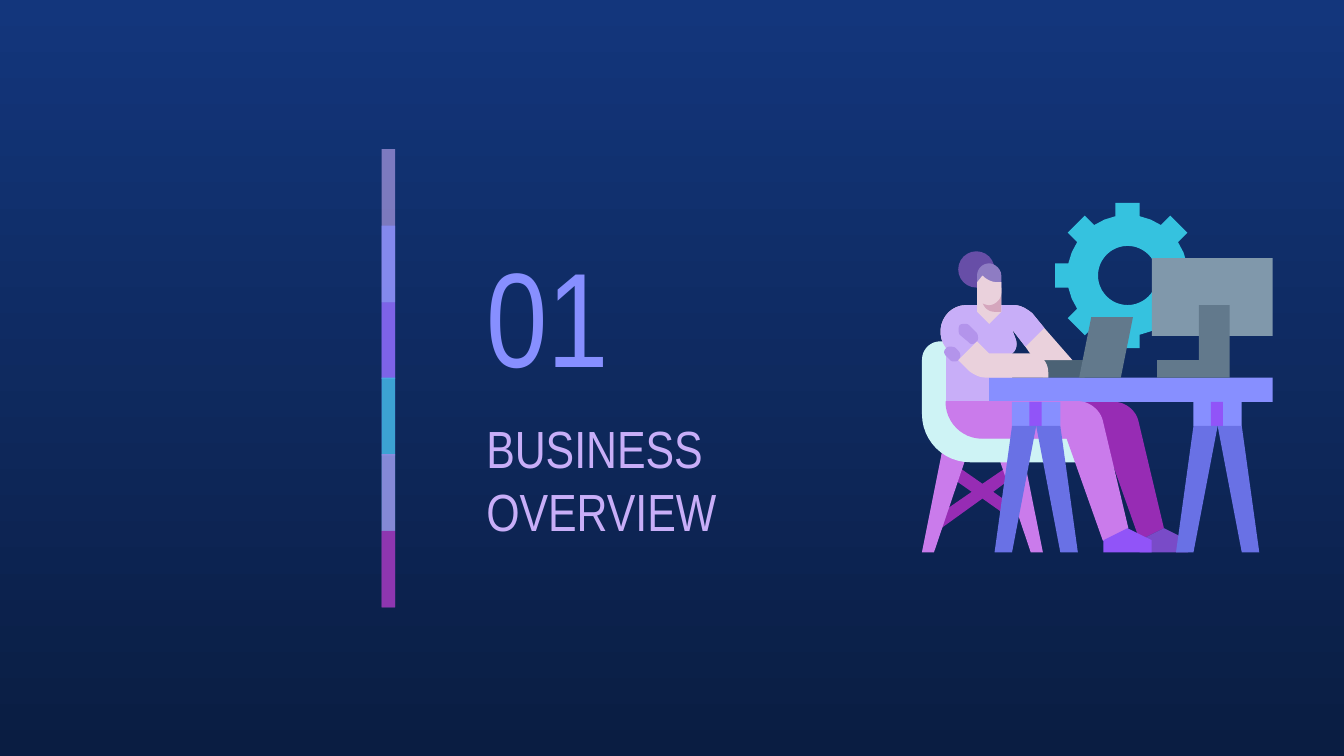
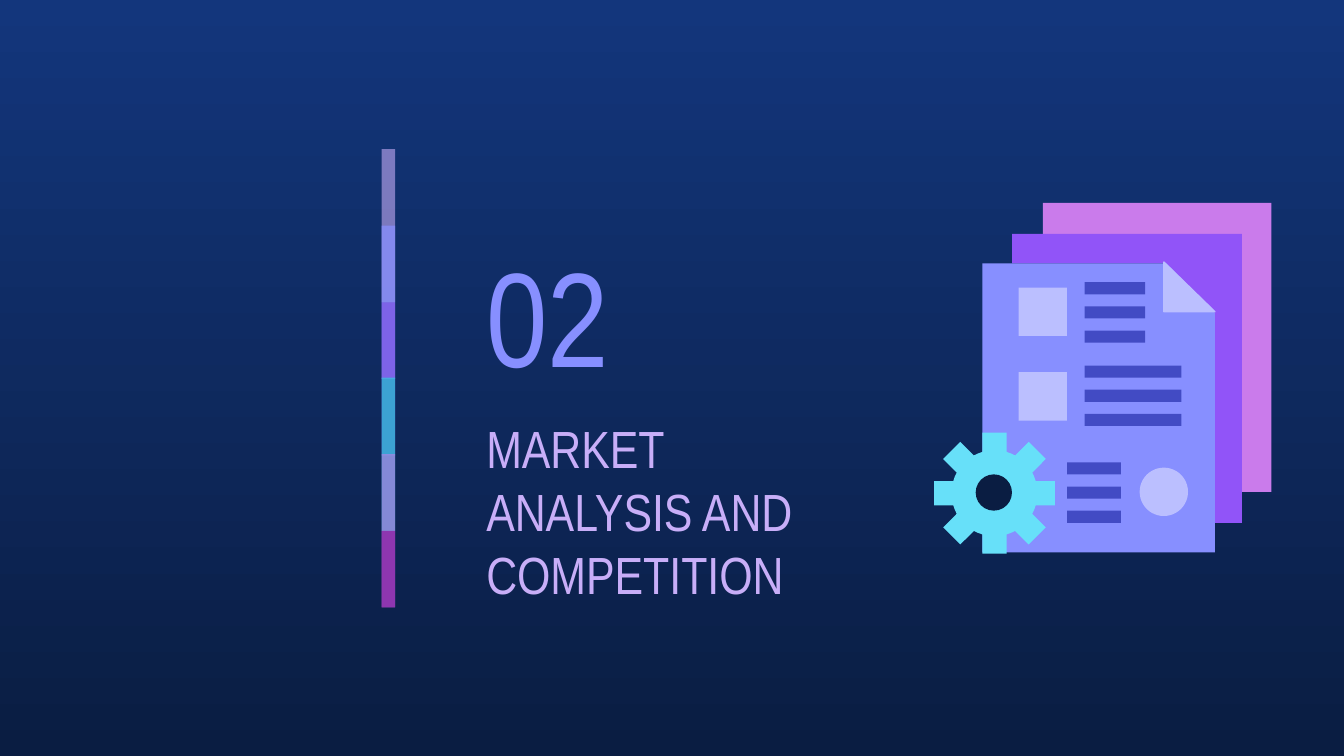
from dataclasses import dataclass
from math import asin, atan2, cos, hypot, pi, sin

from lxml import etree
from pptx import Presentation
from pptx.dml.color import RGBColor
from pptx.enum.shapes import MSO_SHAPE
from pptx.enum.text import MSO_ANCHOR
from pptx.oxml.ns import qn
from pptx.slide import Slide
from pptx.util import Pt

RECTANGLE, OVAL = MSO_SHAPE.RECTANGLE, MSO_SHAPE.OVAL
TOP, MIDDLE = MSO_ANCHOR.TOP, MSO_ANCHOR.MIDDLE

SCALE = 9144
FONT = "Arial Narrow"
SKY, NIGHT = "13367C", "0A1D42"
BLUE, LILAC, VIOLET = "878FFF", "C8AEF8", "9154F8"
ORCHID, PLUM, TEAL = "CA7BEB", "972CB4", "35C2DF"
CYAN, PALE, INDIGO = "67E0F9", "BBBFFF", "424BC4"
SKIN, SKIN_SHADE, MINT = "EAD1DC", "D5A6BD", "CEF3F5"
CUFF, BUN, HAIR, FAR_SHOE = "B394EB", "674EA7", "8E7CC3", "794BC8"
STEEL, STEEL_LIGHT, STEEL_DARK = "62798C", "8098AB", "4B6275"
TRESTLE = "6971E5"
STRIPES = [(LILAC, 59), (BLUE, 74), (VIOLET, 53), (TEAL, 76), (ORCHID, 56), (PLUM, 74)]


def px(length):
    """Turn px into EMU."""
    return round(length * SCALE)


def color(code):
    """Turn a hex string into a colour."""
    return RGBColor.from_string(code)


def paint(shape, code, outlined=False, opacity=100):
    """Fill a shape, with an optional thin line of the same colour."""
    shape.shadow.inherit = False
    shape.fill.solid()
    shape.fill.fore_color.rgb = color(code)
    if opacity < 100:
        tint = shape._element.spPr.find(".//" + qn("a:srgbClr"))
        etree.SubElement(tint, qn("a:alpha")).set("val", str(opacity * 1000))
    if outlined:
        shape.line.color.rgb = color(code)
        shape.line.width = Pt(0.75)
    else:
        shape.line.fill.background()


def flatten(outline, steps=12):
    """Turn points and Bézier curves (six numbers each) into plain points."""
    points = []
    for part in outline:
        if len(part) == 2:
            points.append(part)
            continue
        nodes = [points[-1], part[:2], part[2:4], part[4:]]
        for step in range(1, steps + 1):
            t = step / steps
            weights = ((1 - t) ** 3, 3 * t * (1 - t) ** 2, 3 * t * t * (1 - t), t ** 3)
            points.append(tuple(sum(w * node[axis] for w, node in zip(weights, nodes))
                                for axis in (0, 1)))
    return points


@dataclass
class Box:
    """A region of a page whose parts are placed from its top left corner."""
    page: Slide
    left: int
    top: int

    def preset(self, kind, code, x, y, width, height, opacity=100):
        """Add a preset shape."""
        shape = self.page.shapes.add_shape(
            kind, px(self.left + x), px(self.top + y), px(width), px(height))
        paint(shape, code, opacity=opacity)

    def rect(self, code, *place, opacity=100):
        """Add a rectangle."""
        self.preset(RECTANGLE, code, *place, opacity=opacity)

    def oval(self, code, *place):
        """Add an oval."""
        self.preset(OVAL, code, *place)

    def free(self, code, *outlines, outlined=False, shift=0):
        """Add one closed shape from one or more outlines."""
        builder = None
        for outline in outlines:
            points = [(px(self.left + shift + x), px(self.top + y))
                      for x, y in flatten(outline)]
            if builder is None:
                builder = self.page.shapes.build_freeform(*points[0])
            else:
                builder.move_to(*points[0])
            builder.add_line_segments(points[1:], close=True)
        paint(builder.convert_to_shape(), code, outlined)

    def gear(self, code, x, y, size, ring, hole=0, tooth=9):
        """Add a gear with eight teeth and an optional round hole."""
        reach = size / 2

        def polar(radius, angle):
            """Give a point around the hub."""
            return x + reach + radius * cos(angle), y + reach + radius * sin(angle)

        tip, foot, edge = hypot(reach, tooth), asin(tooth / ring), atan2(tooth, reach)
        profile = [(ring, -foot), (tip, -edge), (tip, edge), (ring, foot), (ring, pi / 8)]
        outlines = [[polar(radius, turn * pi / 4 + angle)
                     for turn in range(8) for radius, angle in profile]]
        if hole:
            outlines.append([polar(hole, step * pi / 24) for step in range(48)])
        self.free(code, *outlines)

    def text(self, words, size, code, width, height, anchor):
        """Add a wrapped line of text that fills the box."""
        shape = self.page.shapes.add_textbox(
            px(self.left), px(self.top), px(width), px(height))
        frame = shape.text_frame
        frame.word_wrap = True
        frame.vertical_anchor = anchor
        frame.margin_left = frame.margin_right = px(10)
        frame.margin_top = frame.margin_bottom = px(10)
        span = frame.paragraphs[0].add_run()
        span.text = words
        span.font.name = FONT
        span.font.size = Pt(size)
        span.font.color.rgb = color(code)


def draw_stripe(box):
    """Draw the translucent bars, each reaching under the next."""
    last = len(STRIPES) - 1
    for index, (code, opacity) in enumerate(STRIPES):
        height = 57 if index == last else 114
        box.rect(code, 0, round(284 * index / last), 10, height, opacity=opacity)


def draw_chair(box):
    """Draw the chair."""
    box.free(PLUM, [(25, 195), (20, 203), (37, 215), (8, 235), (13, 243), (45, 220),
                    (62, 232), (67, 225), (53, 215), (69, 203), (64, 196), (45, 209)])
    box.free(ORCHID, [(54, 180), (81, 260), (90, 260), (74, 180)])
    box.free(ORCHID, [(16, 180), (0, 260), (9, 260), (36, 180)])
    box.free(MINT, [(14, 103), (6, 103, 0, 109, 0, 117), (0, 157),
                    (0, 177, 16, 193, 36, 193), (121, 193), (121, 171), (45, 171),
                    (33, 171, 23, 161, 23, 148), (23, 103)])


def draw_leg(box, code, shoe_code, shift=0, outlined=False):
    """Draw one leg with its shoe."""
    box.free(code, [(18, 148), (18, 163, 30, 175, 45, 175), (108, 175), (135, 251),
                    (153, 242), (134, 162), (132, 154, 124, 148, 116, 148)],
             outlined=outlined, shift=shift)
    box.free(shoe_code, [(153, 242), (135, 251), (135, 260), (171, 260), (171, 251)],
             shift=shift)


def draw_torso(box):
    """Draw the far arm and the shirt."""
    body = [(33, 76), (17, 76, 8, 95, 18, 108), (18, 148), (67, 148), (67, 112),
            (70, 110, 71, 106, 70, 102), (67, 94), (77, 107)]
    shoulder = [(91, 93), (82, 82), (78, 79, 74, 76, 68, 76)]
    box.free(SKIN, [*body, (84, 117), (112, 117), *shoulder])
    box.free(LILAC, [*body, *shoulder])


def draw_near_arm(box):
    """Draw the sleeve folds, the neck and the near forearm."""
    box.free(CUFF, [(21, 107), (20, 107, 19, 107, 18, 108), (16, 110, 16, 112, 18, 114),
                    (21, 117), (22, 118, 23, 118, 24, 118), (25, 118, 26, 118, 27, 117),
                    (29, 115, 29, 112, 27, 110), (25, 108), (24, 107, 22, 107, 21, 107)])
    box.free(CUFF, [(32, 90), (31, 90, 29, 90, 28, 91), (27, 93, 27, 96, 28, 98),
                    (34, 103), (35, 104, 36, 105, 37, 105), (39, 105, 40, 104, 41, 103),
                    (42, 102, 42, 99, 41, 97), (35, 91), (34, 90, 33, 90, 32, 90)])
    box.free(SKIN, [(41, 63), (41, 81), (50, 90), (59, 81), (59, 63)])
    box.free(SKIN, [(41, 103), (27, 117), (35, 125), (39, 128, 43, 130, 48, 130),
                    (94, 130), (94, 126), (94, 118, 88, 112, 81, 112), (50, 112)])


def draw_trestle(box, x):
    """Draw one trestle of the desk."""
    box.rect(BLUE, x, 148, 36, 18)
    box.rect(VIOLET, x + 13, 148, 9, 18)
    box.free(TRESTLE, [(0, 166), (-13, 260), (0, 260), (18, 166)], shift=x)
    box.free(TRESTLE, [(18, 166), (36, 260), (49, 260), (36, 166)], shift=x)


def draw_head(box):
    """Draw the head with its hair."""
    box.free(SKIN_SHADE, [(45, 63), (45, 72), (45, 77, 49, 81, 54, 81), (59, 81), (59, 63)])
    box.oval(BUN, 27, 36, 27, 27)
    box.free(HAIR, [(50, 45), (45, 45, 41, 49, 41, 54), (41, 63), (59, 63), (59, 54),
                    (59, 49, 54, 45, 50, 45)])
    box.free(SKIN, [(45, 54), (41, 59), (41, 67), (41, 72, 45, 76, 50, 76),
                    (54, 76, 59, 72, 59, 67), (59, 59), (56, 59),
                    (52, 59, 48, 57, 45, 54)])


def draw_desk_worker(box):
    """Draw a person working at a desk."""
    box.gear(TEAL, 99, 0, 108, ring=45, hole=22)
    box.rect(STEEL_DARK, 90, 117, 31, 13)
    draw_chair(box)
    draw_leg(box, PLUM, FAR_SHOE, shift=27)
    draw_torso(box)
    box.rect(BLUE, 50, 130, 211, 18)
    draw_near_arm(box)
    box.free(STEEL, [(126, 85), (117, 130), (148, 130), (157, 85)])
    draw_leg(box, ORCHID, VIOLET, outlined=True)
    box.rect(STEEL_LIGHT, 171, 41, 90, 58)
    box.free(STEEL, [(206, 76), (206, 117), (175, 117), (175, 130), (229, 130), (229, 76)])
    for x in (202, 67):
        draw_trestle(box, x)
    draw_head(box)


def draw_report(box):
    """Draw a stack of sheets with a gear."""
    box.free(ORCHID, [(81, 0), (81, 23), (229, 23), (229, 215), (251, 215), (251, 0)])
    box.free(VIOLET, [(58, 23), (58, 45), (171, 45), (206, 81), (206, 238),
                      (229, 238), (229, 23)])
    box.free(BLUE, [(36, 45), (36, 260), (209, 260), (209, 82), (173, 45)])
    box.gear(CYAN, 0, 171, 90, ring=32)
    box.oval(NIGHT, 31, 202, 27, 27)
    for y in (63, 126):
        box.rect(PALE, 63, y, 36, 36)
    box.oval(PALE, 153, 197, 36, 36)
    for x, y, width in ((112, 59, 45), (112, 121, 72), (99, 193, 40)):
        for row in range(3):
            box.rect(INDIGO, x, y + 18 * row, width, 9)
    box.free(PALE, [(171, 44), (171, 81), (209, 81)], outlined=True)


def add_section(deck, number, title, draw_art, art_left):
    """Add a section page with its number, title, picture area and stripe."""
    page = deck.slides.add_slide(deck.slide_layouts[6])
    fill = page.background.fill
    fill.gradient()
    fill.gradient_angle = 270
    for stop, code in zip(fill.gradient_stops, (SKY, NIGHT)):
        stop.color.rgb = color(code)
    Box(page, 352, 166).text(number, 72, BLUE, 175, 135, MIDDLE)
    Box(page, 352, 300).text(title, 28, LILAC, 287, 96, TOP)
    draw_art(Box(page, art_left, 151))
    draw_stripe(Box(page, 284, 111))


def main():
    """Build the deck."""
    deck = Presentation()
    deck.slide_width = px(1000)
    deck.slide_height = px(1000) * 9 // 16
    add_section(deck, "01", "BUSINESS OVERVIEW", draw_desk_worker, 686)
    add_section(deck, "02", "MARKET ANALYSIS AND COMPETITION", draw_report, 695)
    deck.save("out.pptx")


if __name__ == "__main__":
    main()
